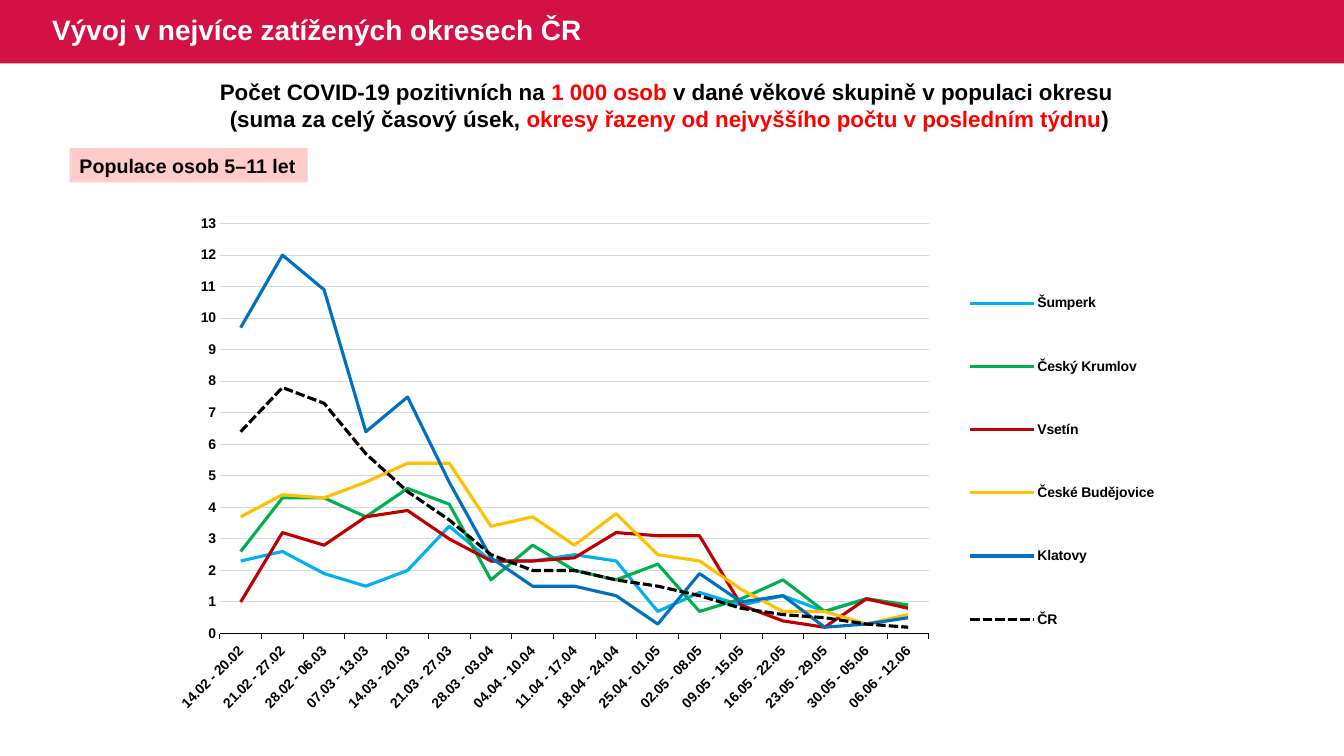
from lxml import etree
from pptx import Presentation
from pptx.chart.data import CategoryChartData
from pptx.dml.color import RGBColor
from pptx.enum.chart import XL_CHART_TYPE, XL_LEGEND_POSITION, XL_TICK_MARK
from pptx.enum.dml import MSO_LINE
from pptx.enum.shapes import MSO_SHAPE
from pptx.enum.text import MSO_ANCHOR, PP_ALIGN
from pptx.oxml.ns import qn
from pptx.util import Pt

LINE_CHART = XL_CHART_TYPE.LINE
LEGEND_RIGHT = XL_LEGEND_POSITION.RIGHT
TICK_NONE, TICK_OUT = XL_TICK_MARK.NONE, XL_TICK_MARK.OUTSIDE
DASH = MSO_LINE.SQUARE_DOT
RECT = MSO_SHAPE.RECTANGLE
MIDDLE = MSO_ANCHOR.MIDDLE
LEFT, CENTER = PP_ALIGN.LEFT, PP_ALIGN.CENTER

FONT = "Arial"
BLACK, RED, WHITE = "000000", "FF0000", "FFFFFF"
WIDTH, HEIGHT = 960, 540

WEEKS = [
    "14.02 - 20.02", "21.02 - 27.02", "28.02 - 06.03", "07.03 - 13.03",
    "14.03 - 20.03", "21.03 - 27.03", "28.03 - 03.04", "04.04 - 10.04",
    "11.04 - 17.04", "18.04 - 24.04", "25.04 - 01.05", "02.05 - 08.05",
    "09.05 - 15.05", "16.05 - 22.05", "23.05 - 29.05", "30.05 - 05.06",
    "06.06 - 12.06",
]
DISTRICTS = [
    ("Šumperk", "00B0F0", [2.3, 2.6, 1.9, 1.5, 2, 3.4, 2.3, 2.3, 2.5, 2.3,
                           0.7, 1.3, 0.9, 1.2, 0.7, 1.1, 0.9]),
    ("Český Krumlov", "00B050", [2.6, 4.3, 4.3, 3.7, 4.6, 4.1, 1.7, 2.8, 2, 1.7,
                                 2.2, 0.7, 1.1, 1.7, 0.7, 1.1, 0.9]),
    ("Vsetín", "C00000", [1, 3.2, 2.8, 3.7, 3.9, 3, 2.3, 2.3, 2.4, 3.2,
                          3.1, 3.1, 0.9, 0.4, 0.2, 1.1, 0.8]),
    ("České Budějovice", "FFC000", [3.7, 4.4, 4.3, 4.8, 5.4, 5.4, 3.4, 3.7, 2.8, 3.8,
                                    2.5, 2.3, 1.4, 0.7, 0.7, 0.3, 0.6]),
    ("Klatovy", "0070C0", [9.7, 12, 10.9, 6.4, 7.5, 4.8, 2.4, 1.5, 1.5, 1.2,
                           0.3, 1.9, 1, 1.2, 0.2, 0.3, 0.5]),
    ("ČR", BLACK, [6.4, 7.8, 7.3, 5.7, 4.5, 3.6, 2.5, 2, 2, 1.7,
                   1.5, 1.2, 0.8, 0.6, 0.5, 0.3, 0.2]),
]
SUBTITLE = [
    [("Počet COVID-19 pozitivních na ", BLACK), ("1 000 osob ", RED),
     ("v dané věkové skupině v populaci okresu ", BLACK)],
    [("(suma za celý časový úsek, ", BLACK),
     ("okresy řazeny od nejvyššího počtu v posledním týdnu", RED), (")", BLACK)],
]


def rgb(color):
    return RGBColor.from_string(color)


def set_font(font, size, color=None):
    font.name, font.size, font.bold = FONT, Pt(size), True
    if color:
        font.color.rgb = rgb(color)


def add_rect(s, box, color):
    sp = s.shapes.add_shape(RECT, *map(Pt, box))
    sp.shadow.inherit = False
    sp.fill.solid()
    sp.fill.fore_color.rgb = rgb(color)
    sp.line.fill.background()
    return sp


def add_header(s, box, text):
    x, y, w, h = box
    band = add_rect(s, box, "D31145")
    title = s.shapes.title
    title._element.addprevious(band._element)
    title.left, title.top, title.width, title.height = map(Pt, (x + 30, y, w - 72, h))
    tf = title.text_frame
    tf.vertical_anchor = MIDDLE
    tf.text = text
    p = tf.paragraphs[0]
    p.alignment = LEFT
    p.line_spacing = 0.9
    set_font(p.font, 20, WHITE)


def add_subtitle(s, box, lines):
    tf = s.shapes.add_textbox(*map(Pt, box)).text_frame
    tf.word_wrap = True
    p = tf.paragraphs[0]
    p.alignment = CENTER
    set_font(p.font, 16)
    for i, line in enumerate(lines):
        if i:
            p.add_line_break()
        for text, color in line:
            r = p.add_run()
            r.text = text
            set_font(r.font, 16, color)


def add_label(s, box, text):
    tf = add_rect(s, box, "FFCCCC").text_frame
    tf.word_wrap = True
    tf.text = text
    p = tf.paragraphs[0]
    p.alignment = LEFT
    set_font(p.font, 14, BLACK)


def set_layout(parent, index, frame, inner=False):
    for old in parent.findall(qn("c:layout")):
        parent.remove(old)
    layout = etree.Element(qn("c:layout"))
    manual = etree.SubElement(layout, qn("c:manualLayout"))
    fields = [("layoutTarget", "inner")] if inner else []
    fields += [("xMode", "edge"), ("yMode", "edge"), *zip("xywh", frame)]
    for tag, value in fields:
        etree.SubElement(manual, qn(f"c:{tag}")).set("val", str(value))
    parent.insert(index, layout)


def add_trend_chart(s, box):
    data = CategoryChartData(number_format="0.0")
    data.categories = WEEKS
    for name, color, values in DISTRICTS:
        data.add_series(name, values)
    chart = s.shapes.add_chart(LINE_CHART, *map(Pt, box), data).chart
    chart.has_title = False
    set_font(chart.font, 10, BLACK)
    plot = chart.plots[0]
    plot.vary_by_categories = False
    for series, (name, color, values) in zip(plot.series, DISTRICTS):
        series.smooth = False
        series.format.line.color.rgb = rgb(color)
        series.format.line.width = Pt(2.25)
    series.format.line.dash_style = DASH

    cat = chart.category_axis
    cat.major_tick_mark, cat.minor_tick_mark = TICK_OUT, TICK_NONE
    cat.format.line.color.rgb = rgb(BLACK)
    cat.format.line.width = Pt(0.75)
    set_font(cat.tick_labels.font, 10, BLACK)
    cat._element.find(qn("c:txPr")).find(qn("a:bodyPr")).set("rot", "-2700000")

    val = chart.value_axis
    val.minimum_scale, val.maximum_scale, val.major_unit = 0, 13, 1
    val.major_tick_mark = val.minor_tick_mark = TICK_NONE
    val.format.line.fill.background()
    val.major_gridlines.format.line.color.rgb = rgb("D9D9D9")
    val.major_gridlines.format.line.width = Pt(0.75)
    val.tick_labels.number_format = "0"
    val.tick_labels.number_format_is_linked = False
    set_font(val.tick_labels.font, 10, BLACK)

    chart.has_legend = True
    legend = chart.legend
    legend.position = LEGEND_RIGHT
    legend.include_in_layout = False
    set_font(legend.font, 10, BLACK)
    set_layout(legend._element, 1, (0.8, 0.08, 0.2, 0.79))
    plot_area = chart._chartSpace.chart.plotArea
    set_layout(plot_area, 0, (0.04, 0.035, 0.724, 0.759), inner=True)


def main():
    prs = Presentation()
    prs.slide_width, prs.slide_height = Pt(WIDTH), Pt(HEIGHT)
    s = prs.slides.add_slide(prs.slide_layouts[5])
    add_header(s, (0, 0, WIDTH, 45.4), "Vývoj v nejvíce zatížených okresech ČR")
    add_label(s, (49.7, 105.8, 170, 24.5), "Populace osob 5–11 let")
    add_subtitle(s, (16.6, 52.6, 923, 46), SUBTITLE)
    add_trend_chart(s, (127.4, 146.2, 701.3, 385.9))
    prs.save("out.pptx")


if __name__ == "__main__":
    main()
